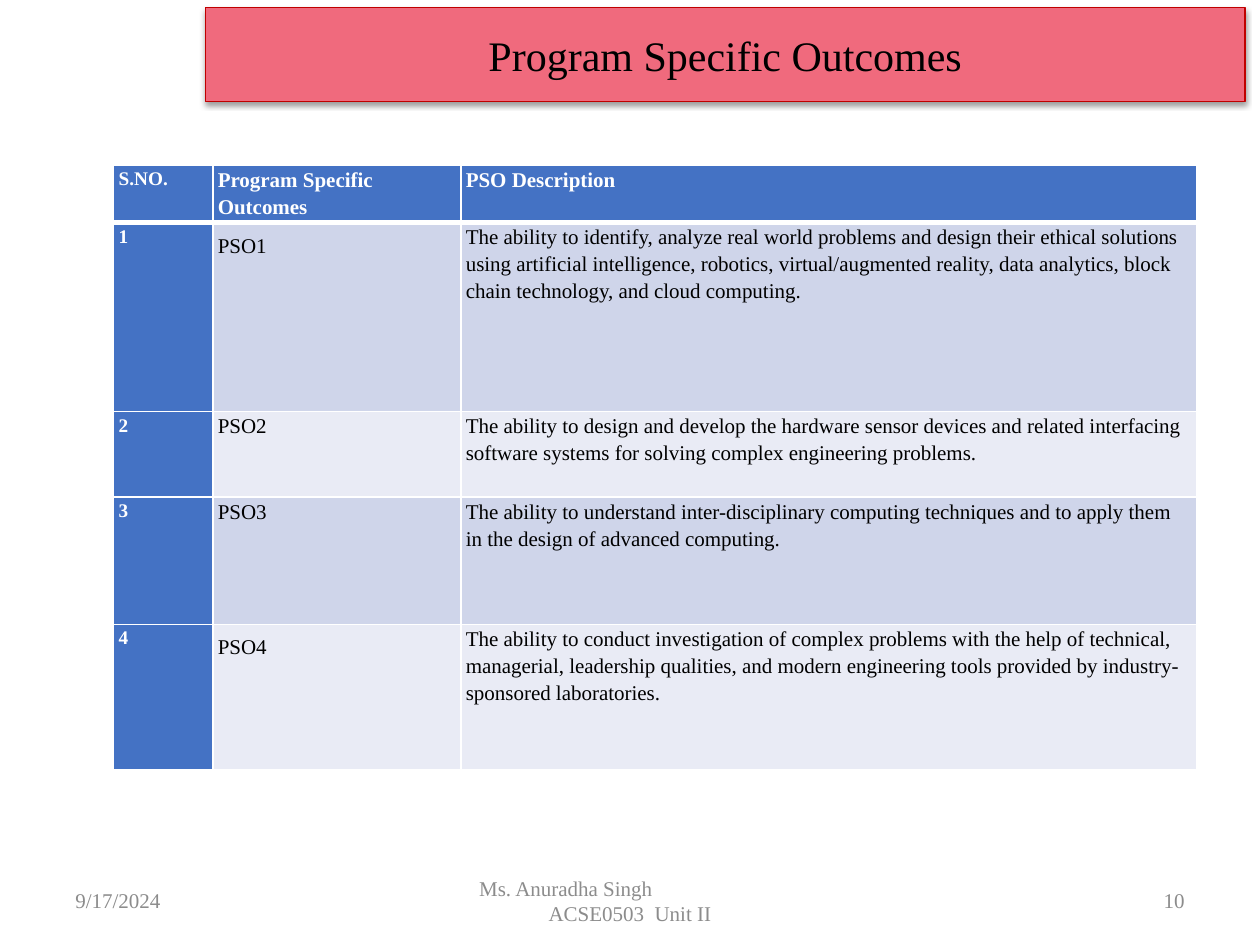
"""Build the Program Specific Outcomes slide."""
from dataclasses import dataclass

from lxml import etree
from pptx import Presentation
from pptx.dml.color import RGBColor
from pptx.enum import text
from pptx.oxml import parse_xml
from pptx.oxml.ns import qn
from pptx.util import Cm, Pt

ALIGN = text.PP_ALIGN
NAMESPACE = "http://schemas.openxmlformats.org/drawingml/2006/main"


@dataclass(frozen=True)
class Theme:
    """Colours and type sizes."""
    font: str = "Times New Roman"
    ink: str = "000000"
    paper: str = "FFFFFF"
    muted: str = "8C8C8C"
    banner: str = "F06A7D"
    outline: str = "C00000"
    header: str = "4472C4"
    bands: tuple[str, str] = ("CFD5EA", "E9EBF5")
    title_size: int = 24
    body_size: int = 12
    number_size: int = 11


@dataclass(frozen=True)
class Outcome:
    """One row of the outcomes table."""
    code: str
    description: str
    height: float
    spacing: float = 1.15
    align: ALIGN = ALIGN.LEFT


@dataclass(frozen=True)
class FooterItem:
    """One footer box; an indent sets the first line off from the left."""
    lines: tuple[str, ...]
    left: float
    width: float
    align: ALIGN
    indent: float = 0


THEME = Theme()
HEADINGS = ("S.NO.", "Program Specific Outcomes", "PSO Description")
COLUMNS = (2, 5, 14.83)
HEADER_HEIGHT = 1.16
OUTCOMES = (
    Outcome("PSO1", "The ability to identify, analyze real world problems and design their "
            "ethical solutions using artificial intelligence, robotics, virtual/augmented "
            "reality, data analytics, block chain technology, and cloud computing.",
            3.81, 1.5, ALIGN.JUSTIFY),
    Outcome("PSO2", "The ability to design and develop the hardware sensor devices and related "
            "interfacing software systems for solving complex engineering problems.", 1.72),
    Outcome("PSO3", "The ability to understand inter-disciplinary computing techniques and to "
            "apply them in the design of advanced computing.", 2.57),
    Outcome("PSO4", "The ability to conduct investigation of complex problems with the help of "
            "technical, managerial, leadership qualities, and modern engineering tools provided "
            "by industry-sponsored laboratories.", 2.92, 1.5, ALIGN.JUSTIFY),
)
FOOTER = (
    FooterItem(("9/17/2024",), 1.27, 5.93, ALIGN.LEFT),
    FooterItem(("Ms. Anuradha Singh", "ACSE0503  Unit II"), 8.68, 8.04, ALIGN.CENTER, 0.73),
    FooterItem(("10",), 18.2, 5.93, ALIGN.RIGHT),
)


def style(para, size: int, colour: str, align: ALIGN, bold: bool = False) -> None:
    """Format a paragraph and its runs."""
    para.alignment = align
    for span in para.runs:
        span.font.name = THEME.font
        span.font.size = Pt(size)
        span.font.bold = bold
        span.font.color.rgb = RGBColor.from_string(colour)


def paint(fill, colour: str) -> None:
    """Apply a solid fill."""
    fill.solid()
    fill.fore_color.rgb = RGBColor.from_string(colour)


def draw_title(page) -> None:
    """Turn the title placeholder into the shadowed banner."""
    box = page.shapes.title
    box.left, box.top, box.width, box.height = Cm(4.14), Cm(0.15), Cm(20.96), Cm(1.9)
    paint(box.fill, THEME.banner)
    paint(box.line.fill, THEME.outline)
    box.line.width = Pt(0.75)
    box._element.spPr.append(parse_xml(
        f'<a:effectLst xmlns:a="{NAMESPACE}"><a:outerShdw blurRad="{Pt(3.1)}" '
        f'dist="{Pt(1.6)}" dir="5400000" rotWithShape="0"><a:srgbClr val="{THEME.ink}">'
        '<a:alpha val="38000"/></a:srgbClr></a:outerShdw></a:effectLst>'))
    frame = box.text_frame
    frame.text = "Program Specific Outcomes"
    frame.auto_size = text.MSO_AUTO_SIZE.NONE
    frame.vertical_anchor = text.MSO_ANCHOR.MIDDLE
    style(frame.paragraphs[0], THEME.title_size, THEME.ink, ALIGN.CENTER)


def draw_borders(cell, top: float, bottom: float) -> None:
    """Rule the four sides of a cell."""
    properties = cell._tc.get_or_add_tcPr()
    for side, width in (("L", 1), ("R", 1), ("T", top), ("B", bottom)):
        line = etree.SubElement(properties, qn(f"a:ln{side}"), w=str(Pt(width)))
        solid = etree.SubElement(line, qn("a:solidFill"))
        etree.SubElement(solid, qn("a:srgbClr"), val=THEME.paper)


def fill_cell(cell, words: str, size: int, fill: str, heading: bool,
              spacing: float = 1.15, align: ALIGN = ALIGN.LEFT) -> None:
    """Write and format one table cell."""
    cell.margin_left = cell.margin_right = Cm(0.1)
    cell.margin_top = cell.margin_bottom = 0
    paint(cell.fill, fill)
    cell.text_frame.text = words
    para = cell.text_frame.paragraphs[0]
    para.line_spacing = spacing
    style(para, size, THEME.paper if heading else THEME.ink, align, heading)


def draw_table(page) -> None:
    """Draw the outcomes table."""
    heights = (HEADER_HEIGHT, *(outcome.height for outcome in OUTCOMES))
    table = page.shapes.add_table(len(heights), len(COLUMNS), Cm(2.29), Cm(3.33),
                                  Cm(sum(COLUMNS)), Cm(sum(heights))).table
    for column, width in zip(table.columns, COLUMNS):
        column.width = Cm(width)
    for index, height in enumerate(heights):
        table.rows[index].height = Cm(height)
        for cell in table.rows[index].cells:
            draw_borders(cell, 3 if index == 1 else 1, 3 if index == 0 else 1)
    for index, words in enumerate(HEADINGS):
        size = THEME.body_size if index else THEME.number_size
        fill_cell(table.cell(0, index), words, size, THEME.header, True)
    for number, outcome in enumerate(OUTCOMES, 1):
        band = THEME.bands[(number - 1) % 2]
        fill_cell(table.cell(number, 0), str(number), THEME.number_size, THEME.header, True)
        fill_cell(table.cell(number, 1), outcome.code, THEME.body_size, band, False,
                  outcome.spacing, outcome.align)
        fill_cell(table.cell(number, 2), outcome.description, THEME.body_size, band, False)


def draw_footer(page, item: FooterItem) -> None:
    """Draw one footer box."""
    box = page.shapes.add_textbox(Cm(item.left), Cm(17.65), Cm(item.width), Cm(1.01))
    frame = box.text_frame
    frame.word_wrap = True
    frame.vertical_anchor = text.MSO_ANCHOR.MIDDLE
    frame.text = "\n".join(item.lines)
    for para in frame.paragraphs:
        style(para, THEME.body_size, THEME.muted, item.align)
    if item.indent:
        first = frame.paragraphs[0]
        first.alignment = ALIGN.LEFT
        first._p.get_or_add_pPr().set("marL", str(Cm(item.indent)))


def main() -> None:
    """Build and save the deck."""
    deck = Presentation()
    deck.slide_width, deck.slide_height = Cm(25.4), Cm(19.05)
    page = deck.slides.add_slide(deck.slide_layouts[5])
    draw_title(page)
    draw_table(page)
    for item in FOOTER:
        draw_footer(page, item)
    deck.save("out.pptx")


if __name__ == "__main__":
    main()
